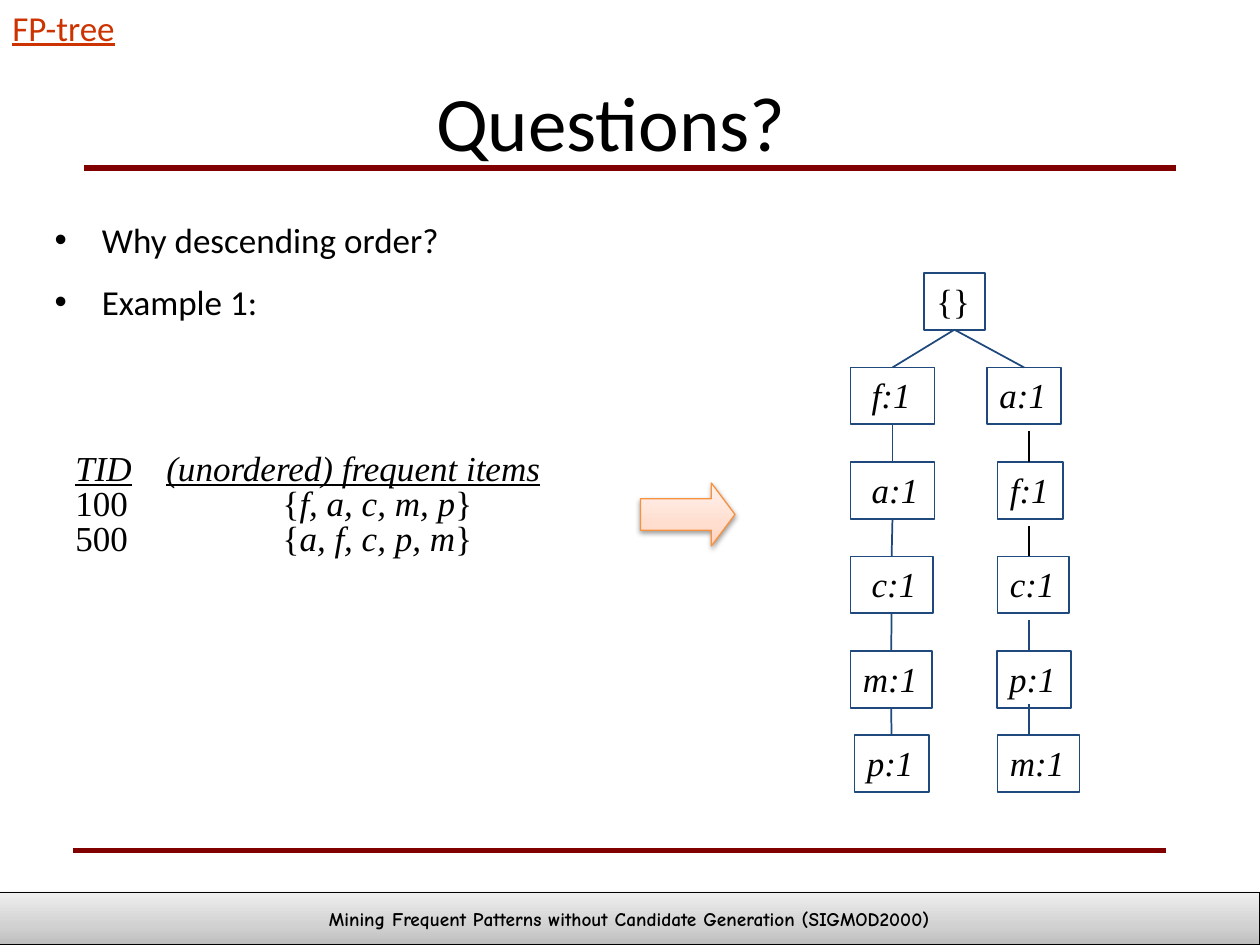
import dataclasses
import pptx
import pptx.util
import pptx.dml.color
import pptx.enum.shapes
import pptx.enum.text
import pptx.oxml
import pptx.oxml.ns
import lxml.etree

Pt = pptx.util.Pt
SHAPES = pptx.enum.shapes.MSO_SHAPE
ALIGN = pptx.enum.text.PP_ALIGN
ANCHOR = pptx.enum.text.MSO_ANCHOR
qn = pptx.oxml.ns.qn


@dataclasses.dataclass(frozen=True)
class Theme:
    sans: str = "Calibri"
    serif: str = "Times New Roman"
    footer_font: str = "Comic Neue"
    title_size: float = 44
    text_size: float = 20
    footer_size: float = 11
    text: str = "000000"
    link: str = "CC3300"
    rule: str = "800000"
    node: str = "1F497D"
    arrow: str = "F69240"
    arrow_stops: tuple = ((0, "FFD2BD"), (35, "FFDED0"), (100, "FFF2ED"))
    footer_stops: tuple = ((0, "BDBDBD"), (35, "D1D1D1"), (100, "EEEEEE"))


THEME = Theme()


def rgb(color):
    return pptx.dml.color.RGBColor.from_string(color)


def add_run(paragraph, text, font=THEME.serif, size=THEME.text_size, color=THEME.text,
            bold=False, italic=False, underline=False):
    run = paragraph.add_run()
    run.text = text
    run.font.name, run.font.size = font, Pt(size)
    run.font.color.rgb = rgb(color)
    run.font.bold, run.font.italic, run.font.underline = bold, italic, underline


def place(shape, left, top, width, height):
    shape.left, shape.top, shape.width, shape.height = map(Pt, (left, top, width, height))


def add_text_box(slide, left, top, width, height, wrap=True):
    frame = slide.shapes.add_textbox(*map(Pt, (left, top, width, height))).text_frame
    frame.word_wrap = wrap
    return frame


def add_outline(slide, kind, left, top, width, height, color, weight):
    shape = slide.shapes.add_shape(kind, *map(Pt, (left, top, width, height)))
    shape.shadow.inherit = False
    shape.fill.background()
    shape.line.color.rgb = rgb(color)
    shape.line.width = Pt(weight)
    return shape


def add_line(slide, start, end, color=THEME.node, weight=1):
    line = slide.shapes.add_connector(pptx.enum.shapes.MSO_CONNECTOR.STRAIGHT,
                                      *map(Pt, start + end))
    line.line.color.rgb = rgb(color)
    line.line.width = Pt(weight)
    lxml.etree.SubElement(line._element.spPr, qn("a:effectLst"))


def add_gradient_and_shadow(shape, stops):
    """Vertical gradient with three stops, and a soft shadow below."""
    namespace = pptx.oxml.ns.nsdecls("a")
    properties = shape._element.spPr
    shape.fill.gradient()
    shape.fill.gradient_angle = 90
    stop_list = properties.find(".//" + qn("a:gsLst"))
    for old_stop in list(stop_list):
        stop_list.remove(old_stop)
    for position, color in stops:
        stop_list.append(pptx.oxml.parse_xml(
            f'<a:gs {namespace} pos="{position * 1000}"><a:srgbClr val="{color}"/></a:gs>'))
    properties.find(qn("a:effectLst")).append(pptx.oxml.parse_xml(
        f'<a:outerShdw {namespace} blurRad="{Pt(3.1)}" dist="{Pt(1.6)}" dir="5400000" '
        'rotWithShape="0"><a:srgbClr val="000000"><a:alpha val="38000"/></a:srgbClr>'
        '</a:outerShdw>'))


def add_heading(slide, left, top, width, height):
    title = slide.shapes.title
    place(title, left, top, width, height)
    title.text_frame.vertical_anchor = ANCHOR.MIDDLE
    paragraph = title.text_frame.paragraphs[0]
    paragraph.alignment = ALIGN.CENTER
    add_run(paragraph, "Questions?", font=THEME.sans, size=THEME.title_size)


def add_bullets(slide, left, top, width, height, items):
    body = slide.placeholders[1]
    place(body, left, top, width, height)
    frame = body.text_frame
    frame.auto_size = pptx.enum.text.MSO_AUTO_SIZE.NONE
    for index, item in enumerate(items):
        paragraph = frame.add_paragraph() if index else frame.paragraphs[0]
        paragraph.line_spacing = 1.3
        paragraph.space_before = Pt(4)
        properties = paragraph._p.get_or_add_pPr()
        properties.set("marL", str(Pt(27)))
        properties.set("indent", str(Pt(-27)))
        add_run(paragraph, item, font=THEME.sans)


def add_transactions(slide, left, top, width, height, rows):
    """Header and transactions, with the second column set by a tab stop."""
    frame = add_text_box(slide, left, top, width, height)

    def add_row(paragraph, tab):
        paragraph.line_spacing = 0.4
        paragraph.space_before = Pt(10.5)
        tabs = lxml.etree.SubElement(paragraph._p.get_or_add_pPr(), qn("a:tabLst"))
        lxml.etree.SubElement(tabs, qn("a:tab"), pos=str(Pt(tab)), algn="l")
        return paragraph

    header = add_row(frame.paragraphs[0], 52)
    add_run(header, "TID\t(unordered) frequent items", italic=True, underline=True)
    for number, items in rows:
        paragraph = add_row(frame.add_paragraph(), 118.5)
        add_run(paragraph, f"{number}\t{{")
        add_run(paragraph, items, italic=True)
        add_run(paragraph, "}")


def add_tree(slide, left, top):
    """Prefix tree: a root and two branches of five nodes each."""
    node_height = 32.4
    levels = [top + offset for offset in (54, 108, 162, 216, 264)]

    def add_node(text, node_left, node_top, width, italic=True):
        node = add_outline(slide, SHAPES.RECTANGLE, node_left, node_top, width,
                           node_height, THEME.node, 1)
        frame = node.text_frame
        frame.word_wrap = False
        frame.vertical_anchor = ANCHOR.TOP
        frame.paragraphs[0].alignment = ALIGN.LEFT
        add_run(frame.paragraphs[0], text, italic=italic)
        return node_left + width / 2

    root = (add_node("{}", left + 42, top, 34.8, italic=False), top + node_height)

    # Left branch: lines join the node centres
    previous = root
    left_nodes = ((" f:1", 0, 48), (" a:1", 0, 48), (" c:1", 0, 47),
                  ("m:1", 0, 46.5), ("p:1", 2.2, 42.5))
    for (text, offset, width), level in zip(left_nodes, levels):
        center = add_node(text, left + offset, level, width)
        add_line(slide, previous, (center, level))
        previous = (center, level + node_height)

    # Right branch: short lines on one axis
    axis, gap = left + 102, 17.5
    right_nodes = (("a:1", 78, 42.5, None), ("f:1", 84, 37.5, (THEME.text, 0.75)),
                   ("c:1", 84, 41, (THEME.text, 0.75)), ("p:1", 83.5, 42.5, (THEME.node, 1)),
                   ("m:1", 84, 47, (THEME.node, 1)))
    for (text, offset, width, style), level in zip(right_nodes, levels):
        center = add_node(text, left + offset, level, width)
        if style is None:
            add_line(slide, root, (center, level))
        else:
            add_line(slide, (axis, level - gap), (axis, level), *style)


def add_footer(slide, left, top, width, height):
    bar = add_outline(slide, SHAPES.RECTANGLE, left, top, width, height, THEME.text, 0.75)
    add_gradient_and_shadow(bar, THEME.footer_stops)
    frame = bar.text_frame
    frame.word_wrap = False
    frame.vertical_anchor = ANCHOR.MIDDLE
    frame.paragraphs[0].alignment = ALIGN.CENTER
    add_run(frame.paragraphs[0],
            "Mining Frequent Patterns without Candidate Generation (SIGMOD2000)",
            font=THEME.footer_font, size=THEME.footer_size, bold=True)


presentation = pptx.Presentation()
presentation.slide_width, presentation.slide_height = Pt(720), Pt(540)
slide = presentation.slides.add_slide(presentation.slide_layouts[1])

# Heading and text
add_heading(slide, 0, 36, 698.4, 65.5)
add_bullets(slide, 24, 114, 678, 366, ("Why descending order?", "Example 1:"))
section = add_text_box(slide, 0, 0, 81.4, 31, wrap=False)
add_run(section.paragraphs[0], "FP-tree", font=THEME.sans, color=THEME.link, underline=True)

# Transactions lead to the tree
add_transactions(slide, 36, 264, 294, 60.5,
                 ((100, "f, a, c, m, p"), (500, "a, f, c, p, m")))
arrow = add_outline(slide, SHAPES.RIGHT_ARROW, 366, 276, 54, 36, THEME.arrow, 0.75)
arrow.adjustments[0], arrow.adjustments[1] = 0.5, 0.375
add_gradient_and_shadow(arrow, THEME.arrow_stops)
add_tree(slide, 486, 156)

# Rules and footer
for rule_left, rule_top in ((48, 96), (42, 486)):
    add_line(slide, (rule_left, rule_top), (rule_left + 624, rule_top), THEME.rule, 3.25)
add_footer(slide, -0.5, 510, 720.5, 30)

presentation.save("out.pptx")
